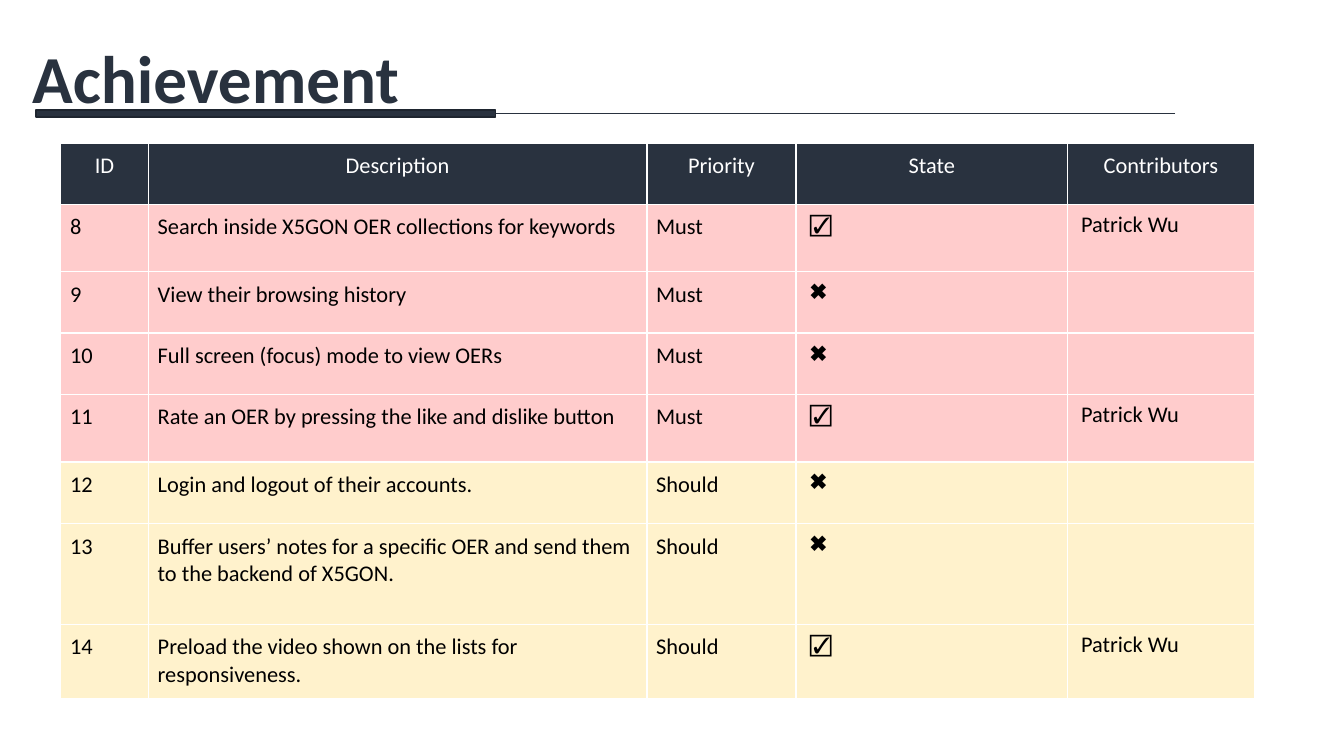
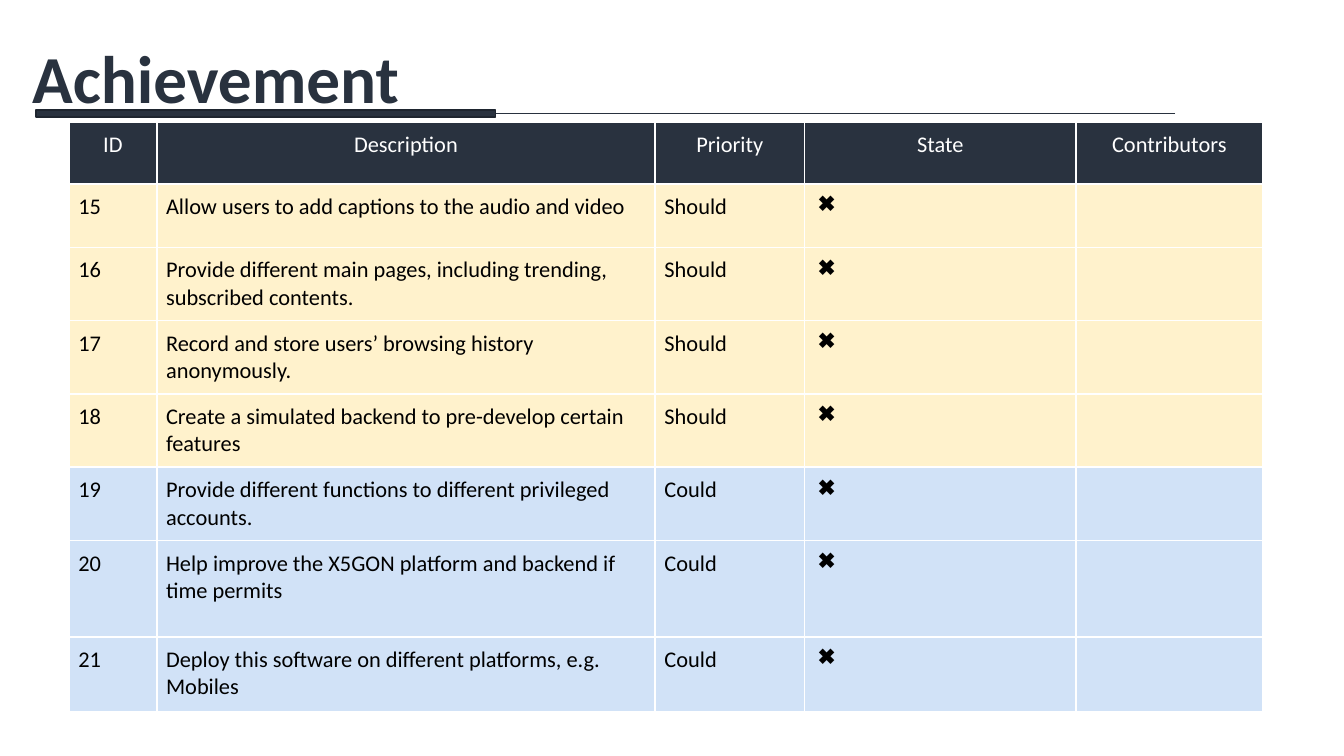
from lxml.etree import SubElement
from pptx import Presentation
from pptx.dml.color import RGBColor
from pptx.enum.shapes import MSO_CONNECTOR, MSO_SHAPE
from pptx.enum.text import MSO_ANCHOR, PP_ALIGN
from pptx.oxml.ns import qn
from pptx.util import Pt

FONT = "Calibri"
NAVY, NAVY_EDGE, WHITE, BLACK = "29323F", "1E252F", "FFFFFF", "000000"
PRIORITY_COLOURS = {"Must": "FF0000", "Should": "FFC000", "Could": "1C72DB"}
TINT_OPACITY = 20

TITLE_BOX = (10, 16, 253, 51)
BAND_BOX = (19.5, 59, 610, 3.6)
HEADINGS = ["ID", "Description", "Priority", "State", "Contributors"]
COLUMN_WIDTHS = [47, 267, 80, 145.5, 100]
NARROW_INSET_COLUMNS = 3
DONE, OPEN = "☑️", "✖️"
AUTHOR = "Patrick Wu"

ACHIEVEMENTS = [
    {
        "origin": (32.5, 76.5),
        "heights": [33, 36, 33, 32.75, 36.25, 33, 54, 40],
        "rows": [
            ("8", "Search inside X5GON OER collections for keywords", "Must", DONE, AUTHOR),
            ("9", "View their browsing history", "Must", OPEN, ""),
            ("10", "Full screen (focus) mode to view OERs", "Must", OPEN, ""),
            ("11", "Rate an OER by pressing the like and dislike button", "Must", DONE, AUTHOR),
            ("12", "Login and logout of their accounts.", "Should", OPEN, ""),
            ("13", "Buffer users’ notes for a specific OER and send them to the backend of X5GON.",
             "Should", OPEN, ""),
            ("14", "Preload the video shown on the lists for responsiveness.",
             "Should", DONE, AUTHOR),
        ],
    },
    {
        "origin": (37, 65.5),
        "heights": [33, 34, 39.25, 39.25, 39.25, 39.25, 51.75, 40],
        "rows": [
            ("15", "Allow users to add captions to the audio and video", "Should", OPEN, ""),
            ("16", "Provide different main pages, including trending, subscribed contents.",
             "Should", OPEN, ""),
            ("17", "Record and store users’ browsing history anonymously.", "Should", OPEN, ""),
            ("18", "Create a simulated backend to pre-develop certain features",
             "Should", OPEN, ""),
            ("19", "Provide different functions to different privileged accounts.",
             "Could", OPEN, ""),
            ("20", "Help improve the X5GON platform and backend if time permits",
             "Could", OPEN, ""),
            ("21", "Deploy this software on different platforms, e.g. Mobiles",
             "Could", OPEN, ""),
        ],
    },
]


def colour(hex_string):
    """Turn a hex string into a colour."""
    return RGBColor.from_string(hex_string)


def apply_format(target, values):
    """Set each named attribute on the target."""
    for name, value in values.items():
        setattr(target, name, value)


def write(text_frame, text, size, hex_string, bold=False, alignment=PP_ALIGN.LEFT):
    """Write one formatted paragraph into a text frame."""
    paragraph = text_frame.paragraphs[0]
    paragraph.alignment = alignment
    run = paragraph.add_run()
    run.text = text
    apply_format(run.font, {"name": FONT, "size": Pt(size), "bold": bold})
    run.font.color.rgb = colour(hex_string)


def add_title(slide, box, text):
    """Place the title placeholder in its box."""
    title = slide.shapes.title
    apply_format(title, dict(zip(("left", "top", "width", "height"), map(Pt, box))))
    apply_format(title.text_frame, {
        "word_wrap": False, "vertical_anchor": MSO_ANCHOR.TOP,
        "margin_left": Pt(7.2), "margin_right": Pt(7.2),
        "margin_top": Pt(3.6), "margin_bottom": Pt(3.6),
    })
    write(title.text_frame, text, 36, NAVY, bold=True)


def add_title_band(slide, box):
    """Draw the thin rule and the thick bar under the title."""
    left, top, width, height = box
    middle = top + height / 2
    rule = slide.shapes.add_connector(
        MSO_CONNECTOR.STRAIGHT, Pt(left + width), Pt(middle), Pt(left), Pt(middle))
    rule.line.color.rgb = colour(NAVY)
    rule.line.width = Pt(0.5)
    SubElement(rule._element.spPr, qn("a:effectLst"))

    bar = slide.shapes.add_shape(
        MSO_SHAPE.RECTANGLE, Pt(left), Pt(top), Pt(246), Pt(height))
    bar.shadow.inherit = False
    bar.fill.solid()
    bar.fill.fore_color.rgb = colour(NAVY)
    bar.line.color.rgb = colour(NAVY_EDGE)
    bar.line.width = Pt(1)


def fill_cell(cell, hex_string, opacity=100):
    """Fill a cell with a colour of the given opacity in percent."""
    cell.fill.solid()
    cell.fill.fore_color.rgb = colour(hex_string)
    if opacity < 100:
        value = cell._tc.tcPr.find(".//" + qn("a:srgbClr"))
        SubElement(value, qn("a:alpha"), val=str(opacity * 1000))


def add_achievement_table(slide, origin, heights, rows):
    """Add the requirements table, tinted by priority."""
    left, top = origin
    table = slide.shapes.add_table(
        len(heights), len(COLUMN_WIDTHS), Pt(left), Pt(top),
        Pt(sum(COLUMN_WIDTHS)), Pt(sum(heights))).table
    for column, width in zip(table.columns, COLUMN_WIDTHS):
        column.width = Pt(width)
    for row_index, values in enumerate([HEADINGS, *rows]):
        table.rows[row_index].height = Pt(heights[row_index])
        is_header = row_index == 0
        for column_index, text in enumerate(values):
            cell = table.cell(row_index, column_index)
            if is_header:
                fill_cell(cell, NAVY)
            else:
                fill_cell(cell, PRIORITY_COLOURS[values[2]], TINT_OPACITY)
            if is_header or column_index < NARROW_INSET_COLUMNS:
                apply_format(cell, dict.fromkeys(
                    ("margin_left", "margin_right", "margin_top", "margin_bottom"), Pt(5)))
            if text:
                write(cell.text_frame, text, 12, WHITE if is_header else BLACK,
                      alignment=PP_ALIGN.CENTER if is_header else PP_ALIGN.LEFT)


def add_achievement_slide(presentation, achievement):
    """Build one slide with title, band and table."""
    slide = presentation.slides.add_slide(presentation.slide_layouts[5])
    add_title_band(slide, BAND_BOX)
    add_achievement_table(slide, **achievement)
    add_title(slide, TITLE_BOX, "Achievement")


def main():
    """Build and save the presentation."""
    presentation = Presentation()
    apply_format(presentation, {"slide_width": Pt(720), "slide_height": Pt(405)})
    for achievement in ACHIEVEMENTS:
        add_achievement_slide(presentation, achievement)
    presentation.save("out.pptx")


if __name__ == "__main__":
    main()
